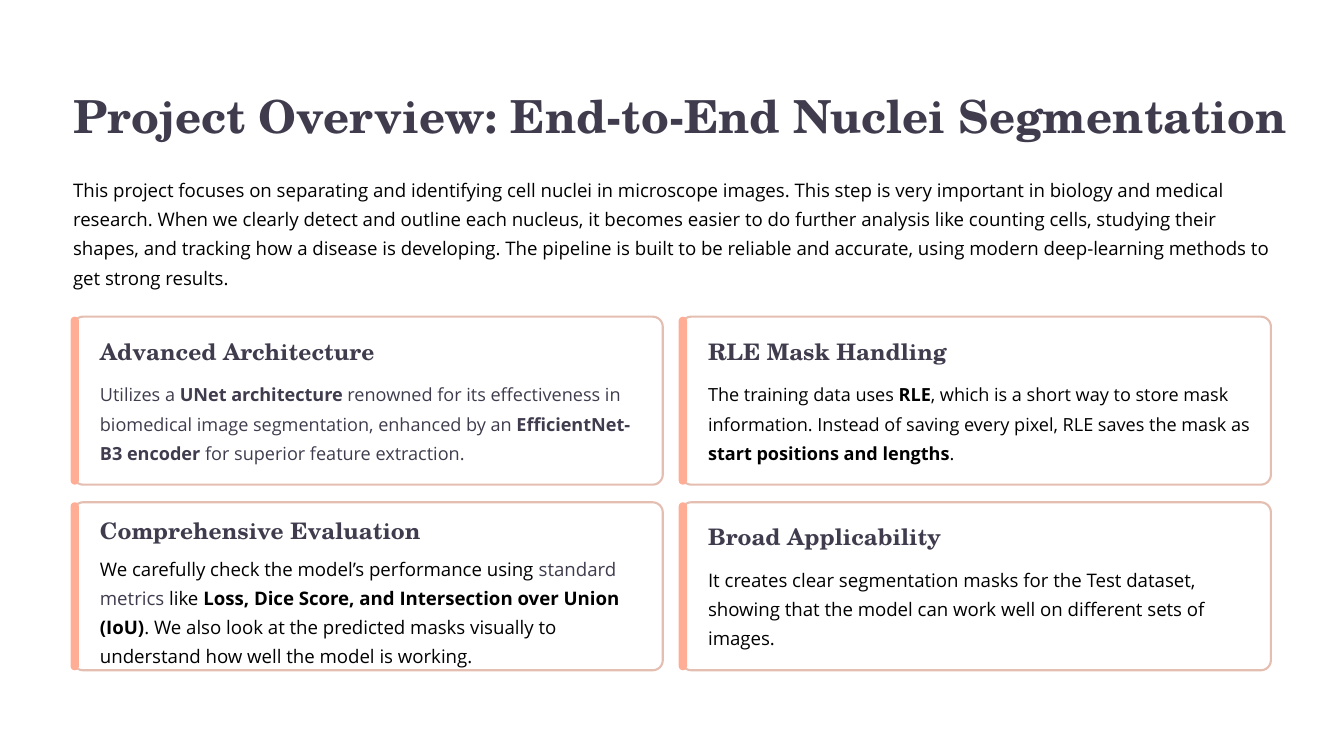
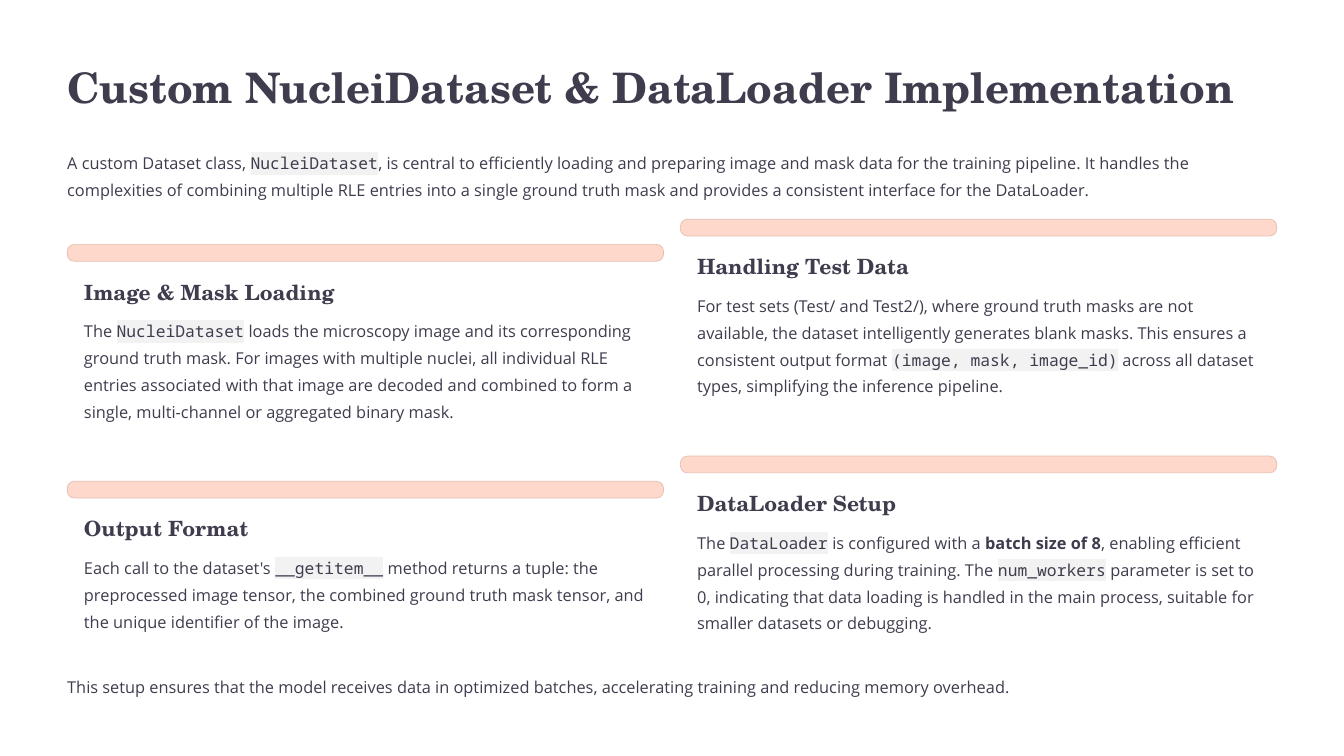
from dataclasses import dataclass

from lxml import etree
from pptx import Presentation
from pptx.dml.color import RGBColor
from pptx.enum.shapes import MSO_SHAPE
from pptx.enum.text import MSO_ANCHOR, MSO_AUTO_SIZE, PP_ALIGN
from pptx.oxml.ns import qn
from pptx.util import Emu, Pt

ROUNDED = MSO_SHAPE.ROUNDED_RECTANGLE
TOP = MSO_ANCHOR.TOP
LEFT = PP_ALIGN.LEFT
NO_AUTOFIT = MSO_AUTO_SIZE.NONE
TITLE_ONLY = 5

EMU_PER_PX = 9144  # 100 px to the inch

INK = RGBColor(0x40, 0x3C, 0x4E)
BLACK = RGBColor(0x00, 0x00, 0x00)
WHITE = RGBColor(0xFF, 0xFF, 0xFF)
BORDER = RGBColor(0xE5, 0xBE, 0xB2)
ACCENT = RGBColor(0xFF, 0xAD, 0x94)
BAND = RGBColor(0xFF, 0xD8, 0xCC)
CODE_BACK = RGBColor(0xF2, 0xF2, 0xF2)

SERIF, SANS, MONO = "TeX Gyre Schola", "Open Sans", "Noto Sans Mono"
PLAIN, BOLD, CODE, INKED = "plain", "bold", "code", "inked"


@dataclass(frozen=True)
class Style:
    size: float
    leading: float
    font: str = SANS
    color: RGBColor = INK
    bold: bool = False


OVERVIEW_TITLE = Style(39, 48.5, SERIF, bold=True)
OVERVIEW_HEADING = Style(19.5, 24, SERIF, bold=True)
OVERVIEW_BODY = Style(16, 25, color=BLACK)
SMALL_BODY = Style(15.5, 25, color=BLACK)
SMALL_INK_BODY = Style(15.5, 25)
DATASET_TITLE = Style(36, 45, SERIF, bold=True)
DATASET_HEADING = Style(18, 22.5, SERIF, bold=True)
DATASET_BODY = Style(14, 23)


def px(value):
    return Emu(value * EMU_PER_PX)


def highlight(run):
    """Put the code background behind a run, right after its fill."""
    mark = etree.Element(qn("a:highlight"))
    etree.SubElement(mark, qn("a:srgbClr"), val=str(CODE_BACK))
    run.font._element.find(qn("a:solidFill")).addnext(mark)


def write(frame, content, style, wrap=True):
    """Fill a frame with one paragraph: a string or (text, kind) pieces."""
    frame.margin_left = frame.margin_top = 0
    frame.margin_right = frame.margin_bottom = 0
    frame.word_wrap = wrap
    frame.auto_size = NO_AUTOFIT
    frame.vertical_anchor = TOP
    paragraph = frame.paragraphs[0]
    paragraph.alignment = LEFT
    paragraph.line_spacing = Pt(style.leading)
    pieces = [(content, PLAIN)] if isinstance(content, str) else content
    for text, kind in pieces:
        run = paragraph.add_run()
        run.text = text
        font = run.font
        font.size = Pt(style.size)
        font.bold = style.bold or kind == BOLD
        font.color.rgb = INK if kind == INKED else style.color
        font.name = MONO if kind == CODE else style.font
        if kind == CODE:
            highlight(run)


def add_text(slide, x, y, width, height, content, style, wrap=True):
    box = slide.shapes.add_textbox(px(x), px(y), px(width), px(height))
    write(box.text_frame, content, style, wrap)


def add_bar(slide, x, y, width, height, rounding, fill, border_width=0):
    bar = slide.shapes.add_shape(ROUNDED, px(x), px(y), px(width), px(height))
    bar.adjustments[0] = rounding
    bar.shadow.inherit = False
    bar.fill.solid()
    bar.fill.fore_color.rgb = fill
    if border_width:
        bar.line.color.rgb = BORDER
        bar.line.width = Pt(border_width)
    else:
        bar.line.fill.background()


def add_titled_slide(deck, x, y, height, text, style):
    slide = deck.slides.add_slide(deck.slide_layouts[TITLE_ONLY])
    title = slide.shapes.title
    title.left, title.top = px(x), px(y)
    title.width, title.height = px(1480), px(height)
    write(title.text_frame, text, style, wrap=False)
    return slide


def add_card(slide, x, y, heading, body, style=OVERVIEW_BODY, heading_dy=24, body_dy=71):
    """Outlined card with an accent strip on its left edge."""
    add_bar(slide, x, y, 702, 200, 0.06, WHITE, 1.8)
    add_bar(slide, x - 3, y, 10, 200, 0.5, ACCENT)
    add_text(slide, x + 32, y + heading_dy, 646, 34, heading, OVERVIEW_HEADING, False)
    add_text(slide, x + 32, y + body_dy, 646, 104, body, style)


def add_banded_section(slide, x, y, heading, body):
    """Section with a coloured band above its heading."""
    add_bar(slide, x, y, 710, 20, 0.42, BAND, 0.6)
    add_text(slide, x + 20, y + 40, 670, 31, heading, DATASET_HEADING, False)
    add_text(slide, x + 20, y + 83, 670, 128, body, DATASET_BODY)


def build_overview(deck):
    slide = add_titled_slide(
        deck, 87, 102, 68,
        "Project Overview: End-to-End Nuclei Segmentation", OVERVIEW_TITLE)
    add_text(
        slide, 87, 205, 1426, 139,
        "This project focuses on separating and identifying cell nuclei in microscope "
        "images. This step is very important in biology and medical research. When we "
        "clearly detect and outline each nucleus, it becomes easier to do further "
        "analysis like counting cells, studying their shapes, and tracking how a disease "
        "is developing. The pipeline is built to be reliable and accurate, using modern "
        "deep-learning methods to get strong results.", OVERVIEW_BODY)

    # Two by two grid of cards
    left, right = 87, 87 + 724
    upper, lower = 377, 377 + 221
    add_card(slide, left, upper, "Advanced Architecture", [
        ("Utilizes a ", PLAIN), ("UNet architecture", BOLD),
        (" renowned for its effectiveness in biomedical image segmentation, "
         "enhanced by an ", PLAIN),
        ("EfficientNet-B3 encoder", BOLD),
        (" for superior feature extraction.", PLAIN)], SMALL_INK_BODY)
    add_card(slide, right, upper, "RLE Mask Handling", [
        ("The training data uses ", PLAIN), ("RLE", BOLD),
        (", which is a short way to store mask information. Instead of saving every "
         "pixel, RLE saves the mask as ", PLAIN),
        ("start positions and lengths", BOLD), (".", PLAIN)], SMALL_BODY)
    add_card(slide, left, lower, "Comprehensive Evaluation", [
        ("We carefully check the model’s performance using ", PLAIN),
        ("standard metrics ", INKED), ("like", PLAIN),
        (" Loss, Dice Score, and Intersection over Union (IoU)", BOLD),
        (". We also look at the predicted masks visually to understand how well the "
         "model is working.", PLAIN)], heading_dy=16, body_dy=58)
    add_card(
        slide, right, lower, "Broad Applicability",
        "It creates clear segmentation masks for the Test dataset, showing that the "
        "model can work well on different sets of images.")


def build_dataset(deck):
    slide = add_titled_slide(
        deck, 80, 71, 63,
        "Custom NucleiDataset & DataLoader Implementation", DATASET_TITLE)
    add_text(slide, 80, 174, 1440, 64, [
        ("A custom Dataset class, ", PLAIN), ("NucleiDataset", CODE),
        (", is central to efficiently loading and preparing image and mask data for the "
         "training pipeline. It handles the complexities of combining multiple RLE "
         "entries into a single ground truth mask and provides a consistent interface "
         "for the DataLoader.", PLAIN)], DATASET_BODY)

    # Two staggered columns of sections
    left, right = 80, 80 + 730
    left_top, right_top, row_pitch = 291, 261, 282
    add_banded_section(slide, left, left_top, "Image & Mask Loading", [
        ("The ", PLAIN), ("NucleiDataset", CODE),
        (" loads the microscopy image and its corresponding ground truth mask. For "
         "images with multiple nuclei, all individual RLE entries associated with that "
         "image are decoded and combined to form a single, multi-channel or aggregated "
         "binary mask.", PLAIN)])
    add_banded_section(slide, right, right_top, "Handling Test Data", [
        ("For test sets (Test/ and Test2/), where ground truth masks are not available, "
         "the dataset intelligently generates blank masks. This ensures a consistent "
         "output format ", PLAIN),
        ("(image, mask, image_id)", CODE),
        (" across all dataset types, simplifying the inference pipeline.", PLAIN)])
    add_banded_section(slide, left, left_top + row_pitch, "Output Format", [
        ("Each call to the dataset's ", PLAIN), ("__getitem__", CODE),
        (" method returns a tuple: the preprocessed image tensor, the combined ground "
         "truth mask tensor, and the unique identifier of the image.", PLAIN)])
    add_banded_section(slide, right, right_top + row_pitch, "DataLoader Setup", [
        ("The ", PLAIN), ("DataLoader", CODE), (" is configured with a ", PLAIN),
        ("batch size of 8", BOLD),
        (", enabling efficient parallel processing during training. The ", PLAIN),
        ("num_workers", CODE),
        (" parameter is set to 0, indicating that data loading is handled in the main "
         "process, suitable for smaller datasets or debugging.", PLAIN)])

    # Closing line
    add_text(
        slide, 80, 797, 1440, 32,
        "This setup ensures that the model receives data in optimized batches, "
        "accelerating training and reducing memory overhead.", DATASET_BODY, False)


def main():
    deck = Presentation()
    deck.slide_width, deck.slide_height = px(1600), px(900)
    build_overview(deck)
    build_dataset(deck)
    deck.save("out.pptx")


if __name__ == "__main__":
    main()
